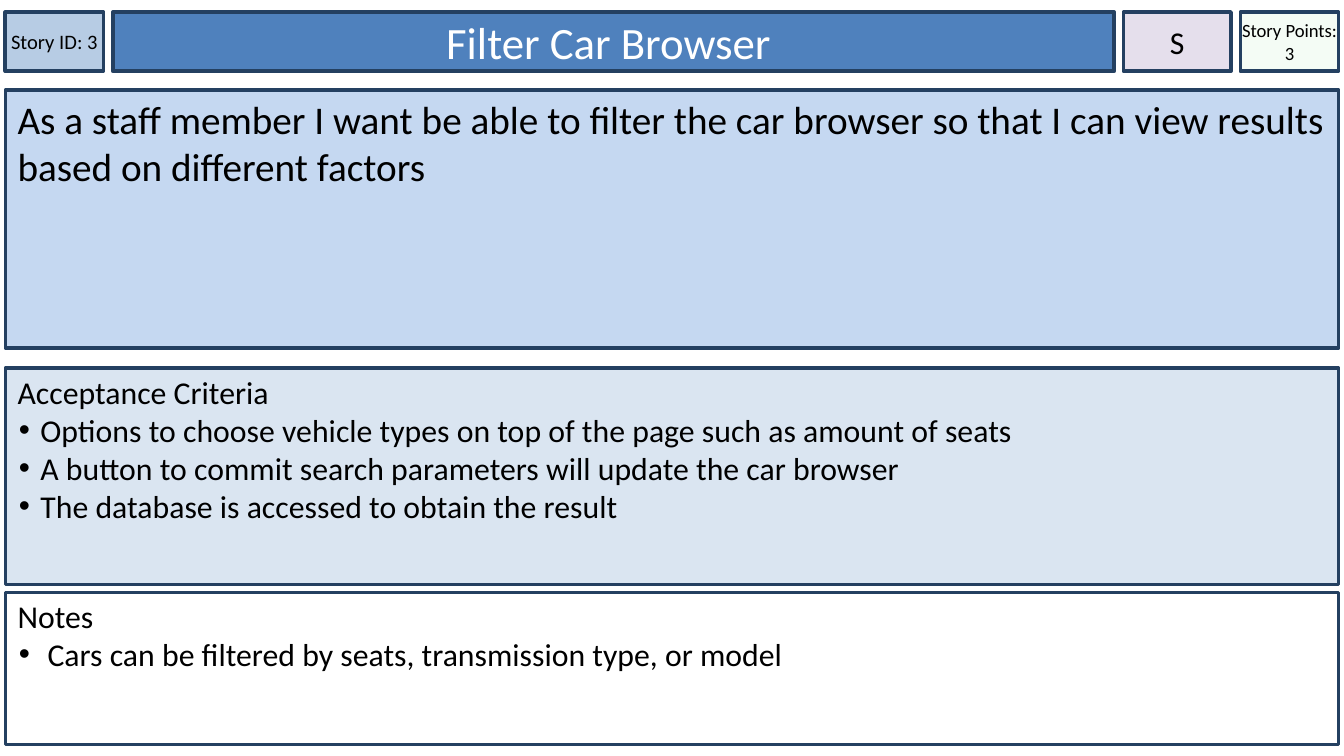
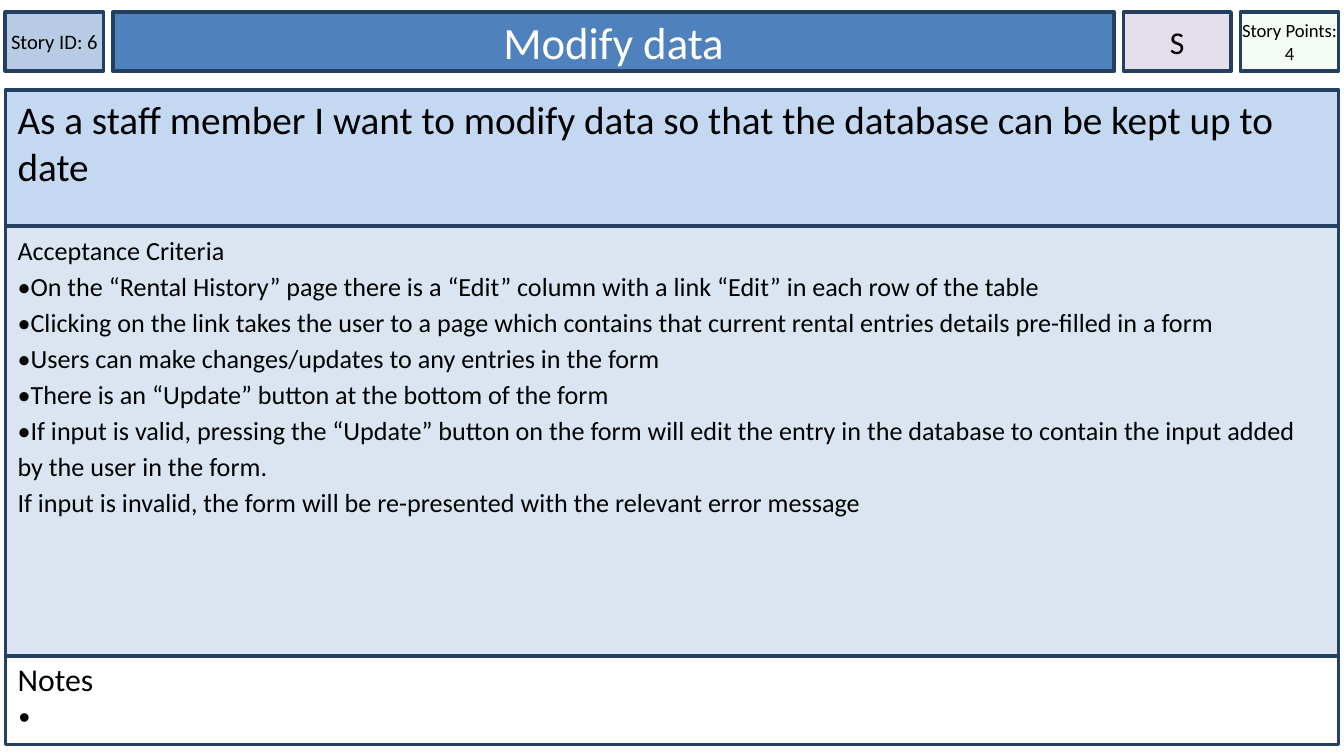
from lxml.etree import SubElement
from pptx import Presentation
from pptx.dml.color import RGBColor
from pptx.enum.shapes import MSO_SHAPE
from pptx.enum.text import MSO_ANCHOR, MSO_AUTO_SIZE, PP_ALIGN
from pptx.oxml.ns import qn
from pptx.util import Inches, Pt

FONT = "Calibri"
BLACK = RGBColor(0x00, 0x00, 0x00)
WHITE = RGBColor(0xFF, 0xFF, 0xFF)
NAVY = RGBColor(0x24, 0x40, 0x61)
ID_BLUE = RGBColor(0xB7, 0xCC, 0xE4)
TITLE_BLUE = RGBColor(0x4F, 0x81, 0xBD)
STORY_BLUE = RGBColor(0xC5, 0xD8, 0xF1)
CRITERIA_BLUE = RGBColor(0xDA, 0xE5, 0xF1)
PRIORITY_LILAC = RGBColor(0xE5, 0xDF, 0xEC)
POINTS_GREEN = RGBColor(0xCC, 0xF0, 0xCD)

HEADER_TOP, HEADER_HEIGHT = 0.09, 0.44
PANEL_LEFT, PANEL_WIDTH = 0.04, 9.92
BULLET_INDENT = 0.17

# Each panel is given as (top, height)
STORIES = [
    {
        "id": 3,
        "title": "Filter Car Browser ",
        "priority": "S",
        "points": 3,
        "story": "As a staff member I want be able to filter the car browser "
                 "so that I can view results based on different factors",
        "story_panel": (0.67, 1.92),
        "criteria": [
            "Options to choose vehicle types on top of the page such as amount of seats",
            "A button to commit search parameters will update the car browser",
            "The database is accessed to obtain the result",
        ],
        "criteria_panel": (2.74, 1.61),
        "criteria_style": {"size": 17, "indent": BULLET_INDENT},
        "note": " Cars can be filtered by seats, transmission type, or model",
        "notes_panel": (4.41, 1.13),
    },
    {
        "id": 6,
        "title": "Modify data",
        "priority": "S",
        "points": 4,
        "story": "As a staff member I want to modify data so that the database "
                 "can be kept up to date",
        "story_panel": (0.67, 1.01),
        "criteria": [
            "•On the “Rental History” page there is a “Edit” column with a link "
            "“Edit” in each row of the table",
            "•Clicking on the link takes the user to a page which contains that "
            "current rental entries details pre-filled in a form",
            "•Users can make changes/updates to any entries in the form",
            "•There is an “Update” button at the bottom of the form",
            "•If input is valid, pressing the “Update” button on the form will edit "
            "the entry in the database to contain the input added by the user in the form.",
            "If input is invalid, the form will be re-presented with the relevant "
            "error message",
        ],
        "criteria_panel": (1.68, 3.2),
        "criteria_style": {"size": 14, "line_spacing": 1.15},
        "note": " ",
        "notes_panel": (4.88, 0.66),
    },
]


def style_box(shape, left, top, width, height, fill, side_inset=0.09,
              top_inset=0.04, anchor=MSO_ANCHOR.TOP):
    shape.left, shape.top = Inches(left), Inches(top)
    shape.width, shape.height = Inches(width), Inches(height)
    shape.shadow.inherit = False
    shape.fill.solid()
    shape.fill.fore_color.rgb = fill
    shape.line.color.rgb = NAVY
    shape.line.width = Pt(2)
    frame = shape.text_frame
    frame.word_wrap = True
    frame.auto_size = MSO_AUTO_SIZE.NONE
    frame.vertical_anchor = anchor
    frame.margin_left = frame.margin_right = Inches(side_inset)
    frame.margin_top, frame.margin_bottom = Inches(top_inset), Inches(0.04)


def write(shape, lines, size, color=BLACK, align=PP_ALIGN.LEFT, indent=0,
          line_spacing=1.0):
    """Write one paragraph per line; with an indent, all but the first get bullets."""
    frame = shape.text_frame
    for index, text in enumerate(lines):
        paragraph = frame.paragraphs[0] if index == 0 else frame.add_paragraph()
        properties = paragraph._p.get_or_add_pPr()
        if indent and index:
            properties.set("marL", str(Inches(indent)))
            properties.set("indent", str(Inches(0.01 - indent)))
            SubElement(properties, qn("a:buFont"), typeface="Arial")
            SubElement(properties, qn("a:buChar"), char="•")
        else:
            properties.set("marL", "0")
            properties.set("indent", "0")
            SubElement(properties, qn("a:buNone"))
        paragraph.alignment = align
        paragraph.line_spacing = line_spacing
        paragraph.space_before = Pt(0)
        run = paragraph.add_run()
        run.text = text
        run.font.name = FONT
        run.font.size = Pt(size)
        run.font.color.rgb = color


presentation = Presentation()
presentation.slide_width = Inches(10)
presentation.slide_height = presentation.slide_width * 9 // 16
title_and_content = presentation.slide_layouts[1]

for story in STORIES:
    slide = presentation.slides.add_slide(title_and_content)

    title = slide.shapes.title
    style_box(title, 0.84, HEADER_TOP, 7.45, HEADER_HEIGHT, TITLE_BLUE,
              anchor=MSO_ANCHOR.MIDDLE)
    write(title, [story["title"]], 24, WHITE, PP_ALIGN.CENTER)

    criteria = slide.placeholders[1]
    style_box(criteria, PANEL_LEFT, story["criteria_panel"][0], PANEL_WIDTH,
              story["criteria_panel"][1], CRITERIA_BLUE, top_inset=0.03)
    write(criteria, ["Acceptance Criteria", *story["criteria"]],
          **story["criteria_style"])

    header_cells = [
        (f"Story ID: {story['id']}", 0.04, 0.73, ID_BLUE, 11),
        (story["priority"], 8.36, 0.8, PRIORITY_LILAC, 17),
        (f"Story Points: {story['points']}", 9.23, 0.73, POINTS_GREEN, 10),
    ]
    for text, left, width, fill, size in header_cells:
        cell = slide.shapes.add_shape(MSO_SHAPE.RECTANGLE, 0, 0, 0, 0)
        style_box(cell, left, HEADER_TOP, width, HEADER_HEIGHT, fill,
                  side_inset=0, anchor=MSO_ANCHOR.MIDDLE)
        write(cell, [text], size, align=PP_ALIGN.CENTER)
        if fill == POINTS_GREEN:
            fill_color = cell._element.spPr.find(qn("a:solidFill"))[0]
            SubElement(fill_color, qn("a:alpha"), val="20000")

    panels = [
        ([story["story"]], story["story_panel"], STORY_BLUE, 21, 0.04),
        (["Notes", story["note"]], story["notes_panel"], WHITE, 17, 0.03),
    ]
    for lines, (top, height), fill, size, top_inset in panels:
        panel = slide.shapes.add_shape(MSO_SHAPE.RECTANGLE, 0, 0, 0, 0)
        style_box(panel, PANEL_LEFT, top, PANEL_WIDTH, height, fill,
                  top_inset=top_inset)
        write(panel, lines, size, indent=BULLET_INDENT)

presentation.save("out.pptx")
